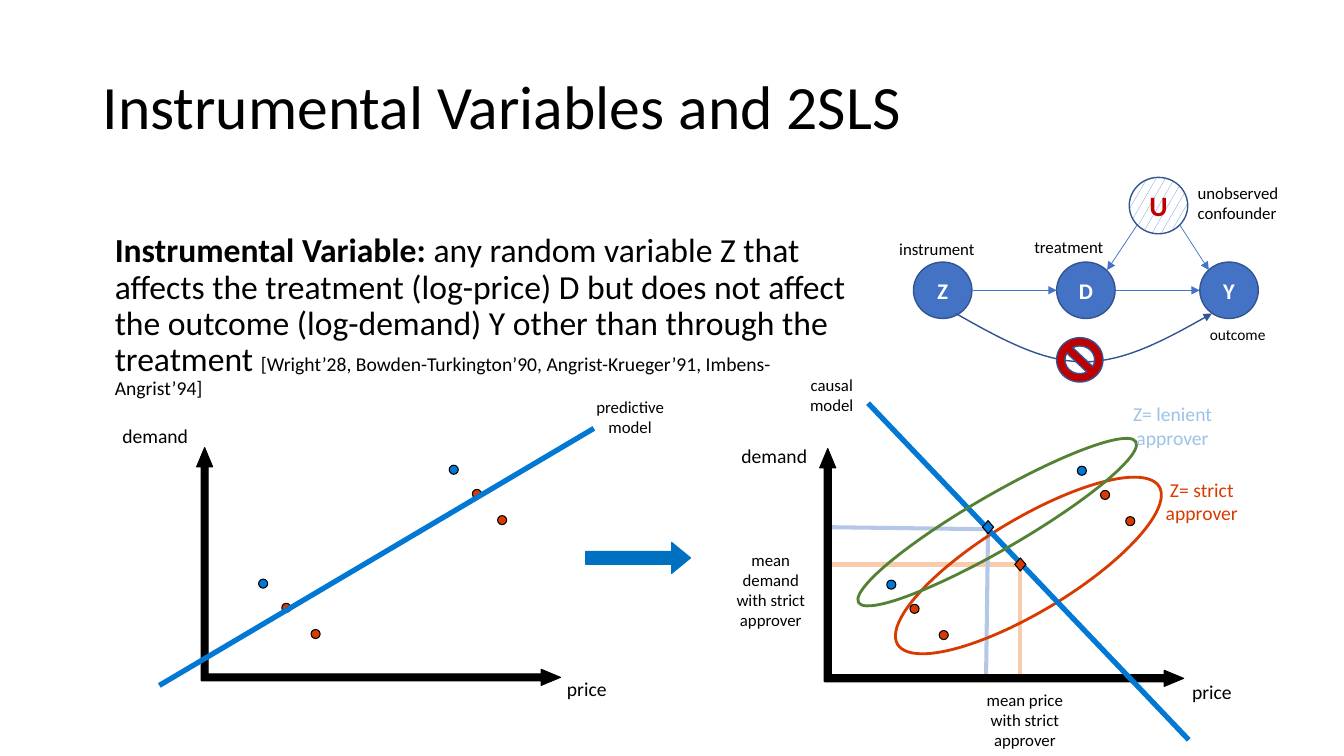
from lxml import etree
from pptx import Presentation
from pptx import util as u
from pptx.dml import color
from pptx.enum import dml, shapes, text
from pptx.oxml.ns import qn

FONT = "Calibri"
BLACK, WHITE = "000000", "FFFFFF"
BLUE, RED, GREEN = "0078D4", "D83B01", "548235"
PALE_BLUE, PALE_RED = "B4C7E7", "F8CBAD"
NODE_FILL, NODE_LINE, DARK_RED = "4472C4", "325491", "C00000"
SHAPE = shapes.MSO_SHAPE
CENTER = text.PP_ALIGN.CENTER

# Centres of the observations in the left plot
LENIENT_DOTS = [(2.61, 5.79), (4.5, 4.66)]
STRICT_DOTS = [(2.84, 6.03), (4.73, 4.9), (4.98, 5.16), (3.13, 6.29)]


def rgb(value):
    return color.RGBColor.from_string(value)


def style_run(span, size, ink, bold=False):
    span.font.name = FONT
    span.font.size = u.Pt(size)
    span.font.bold = bold
    span.font.color.rgb = rgb(ink)


def add_text(page, place, content, size, ink=BLACK, align=CENTER, wrap=True):
    box = page.shapes.add_textbox(*map(u.Inches, place))
    frame = box.text_frame
    frame.word_wrap = wrap
    frame.text = content
    for para in frame.paragraphs:
        para.alignment = align
        for span in para.runs:
            style_run(span, size, ink)
    return box


def add_figure(page, kind, place, fill=None, line=BLACK, width=0, turn=0):
    figure = page.shapes.add_shape(kind, *map(u.Inches, place))
    figure.shadow.inherit = False
    figure.rotation = turn
    if fill:
        figure.fill.solid()
        figure.fill.fore_color.rgb = rgb(fill)
    else:
        figure.fill.background()
    figure.line.color.rgb = rgb(line)
    figure.line.width = u.Pt(width)
    return figure


def add_centered(page, kind, center, size, **look):
    (x, y), (w, h) = center, size
    return add_figure(page, kind, (x - w / 2, y - h / 2, w, h), **look)


def add_arrowhead(shape):
    etree.SubElement(shape.line._get_or_add_ln(), qn("a:tailEnd"), type="triangle")


def add_line(page, start, end, ink, width, arrow=False):
    line = page.shapes.add_connector(
        shapes.MSO_CONNECTOR.STRAIGHT, *map(u.Inches, start + end))
    line.line.color.rgb = rgb(ink)
    line.line.width = u.Pt(width)
    if arrow:
        add_arrowhead(line)
    etree.SubElement(line._element.spPr, qn("a:effectLst"))


def add_block_arrow(page, kind, place, ink, shaft, head):
    arrow = add_figure(page, kind, place, fill=ink, line=ink)
    arrow.adjustments[0], arrow.adjustments[1] = shaft, head


def add_axes(page, dx, dy):
    add_block_arrow(page, SHAPE.RIGHT_ARROW, (2 + dx, 6.64 + dy, 3.56, 0.16), BLACK, 0.44, 1.2)
    add_block_arrow(page, SHAPE.UP_ARROW, (1.95 + dx, 4.44 + dy, 0.16, 2.31), BLACK, 0.44, 1.2)


def add_dots(page, dx, dy):
    for centers, ink in ((LENIENT_DOTS, BLUE), (STRICT_DOTS, RED)):
        for x, y in centers:
            add_centered(page, SHAPE.OVAL, (x + dx, y + dy), (0.09, 0.09), fill=ink)


def add_node(page, left, top, letter, size=16, ink=WHITE):
    node = add_figure(page, SHAPE.OVAL, (left, top, 0.58, 0.56), NODE_FILL, NODE_LINE, 1)
    frame = node.text_frame
    frame.vertical_anchor = text.MSO_ANCHOR.MIDDLE
    frame.text = letter
    frame.paragraphs[0].alignment = CENTER
    style_run(frame.paragraphs[0].runs[0], size, ink, bold=True)
    return node


def add_blocked_path(page):
    """Curve from Z to Y below D, with a stop sign on it."""
    middle, half, top, depth, steps = 10.75, 1.27, 3.11, 0.48, 16
    points = []
    for step in range(-steps, steps + 1):
        t = 1 - abs(step) / steps
        points.append((u.Inches(middle + half * step / steps),
                       u.Inches(top + depth * (1.5 * t - 0.5 * t ** 3))))
    builder = page.shapes.build_freeform(*points[0])
    builder.add_line_segments(points[1:], close=False)
    curve = builder.convert_to_shape()
    curve.shadow.inherit = False
    curve.fill.background()
    curve.line.color.rgb = rgb(NODE_LINE)
    curve.line.width = u.Pt(1)
    add_arrowhead(curve)
    add_figure(page, SHAPE.NO_SYMBOL, (10.48, 3.35, 0.46, 0.44), DARK_RED, NODE_LINE, 1)


def add_heading(page):
    title = add_text(page, (0.92, 0.36, 11.5, 1.45),
                     "Instrumental Variables and 2SLS", 44, align=text.PP_ALIGN.LEFT)
    title.text_frame.vertical_anchor = text.MSO_ANCHOR.MIDDLE
    title.text_frame.paragraphs[0].line_spacing = 0.9

    body = add_text(page, (1, 2.27, 7.6, 4.71), "", 24)
    para = body.text_frame.paragraphs[0]
    para.alignment = text.PP_ALIGN.LEFT
    para.line_spacing = 0.9
    para.space_before = u.Pt(10)
    para._p.get_or_add_pPr().set("marL", str(u.Inches(0.04)))
    for content, size, bold in (
            ("Instrumental Variable:", 24, True),
            (" any random variable Z that affects the treatment (log-price) D but does not "
             "affect the outcome (log-demand) Y other than through the treatment ", 24, False),
            ("[Wright’28, Bowden-Turkington’90, Angrist-Krueger’91, Imbens-Angrist’94]",
             14, False)):
        span = para.add_run()
        span.text = content
        style_run(span, size, BLACK, bold)


def add_predictive_plot(page):
    add_axes(page, 0, 0)
    add_dots(page, 0, 0)
    add_line(page, (1.58, 6.8), (5.89, 4.25), BLUE, 3.75)
    add_text(page, (5.8, 3.89, 0.9, 0.5), "predictive\nmodel", 12, wrap=False)
    add_text(page, (5.51, 6.67, 0.62, 0.34), "price", 14, wrap=False)
    add_text(page, (1.09, 4.16, 0.9, 0.34), "demand", 14, wrap=False)


def add_causal_plot(page):
    # Guides from the group means to the axes
    add_line(page, (10.12, 5.61), (10.12, 6.7), PALE_RED, 2.88)
    add_line(page, (8.23, 5.6), (10.16, 5.6), PALE_RED, 2.88)
    add_line(page, (9.79, 5.25), (8.21, 5.23), PALE_BLUE, 2.88)
    add_line(page, (9.8, 5.21), (9.78, 6.72), PALE_BLUE, 2.88)
    add_axes(page, 6.18, 0.01)
    # Groups, model and observations
    add_centered(page, SHAPE.OVAL, (10.2, 5.61), (3.03, 0.92), line=RED, width=2, turn=-31.1)
    add_line(page, (8.61, 4), (11.79, 7.34), BLUE, 3.75)
    add_dots(page, 6.23, 0.01)
    add_centered(page, SHAPE.OVAL, (9.89, 5.18), (3.18, 0.54), line=GREEN, width=2, turn=-30.1)
    for center, ink in (((9.8, 5.23), BLUE), ((10.12, 5.6), RED)):
        add_centered(page, SHAPE.DIAMOND, center, (0.11, 0.13), fill=ink)
    # Labels
    add_text(page, (7.92, 3.67, 0.66, 0.5), "causal\nmodel", 12, wrap=False)
    add_text(page, (11.71, 6.7, 0.62, 0.34), "price", 14, wrap=False)
    add_text(page, (7.23, 4.35, 0.9, 0.34), "demand", 14, wrap=False)
    add_text(page, (9.43, 6.79, 1.47, 0.71), "mean price\nwith strict approver", 12)
    add_text(page, (7.08, 5.4, 1.13, 0.91), "mean demand\nwith strict approver", 12)
    add_text(page, (11.22, 4.69, 1.4, 0.57), "Z= strict approver", 14, RED)
    add_text(page, (10.88, 3.94, 1.5, 0.57), "Z= lenient approver", 14, "9DC3E6")


def add_causal_graph(page):
    for left, letter in ((9.06, "Z"), (10.48, "D"), (11.9, "Y")):
        add_node(page, left, 2.6, letter)
    confounder = add_node(page, 11.2, 1.76, "U", 20, DARK_RED)
    confounder.fill.patterned()
    confounder.fill.pattern = dml.MSO_PATTERN.SMALL_CONFETTI
    confounder.fill.fore_color.rgb = rgb(NODE_FILL)
    confounder.fill.back_color.rgb = rgb(WHITE)
    for start, end in (((11.28, 2.23), (10.98, 2.68)), ((11.7, 2.23), (11.99, 2.68)),
                       ((9.65, 2.88), (10.48, 2.88)), ((11.07, 2.88), (11.9, 2.88))):
        add_line(page, start, end, NODE_FILL, 0.5, arrow=True)
    add_blocked_path(page)
    for place, label, size in (((11.78, 1.76, 1.04, 0.5), "unobserved confounder", 12),
                               ((11.9, 3.18, 0.88, 0.29), "outcome", 11),
                               ((10.16, 2.3, 0.9, 0.3), "treatment", 12),
                               ((8.82, 2.32, 1.09, 0.3), "instrument", 12)):
        add_text(page, place, label, size, align=text.PP_ALIGN.LEFT)


def main():
    deck = Presentation()
    deck.slide_width, deck.slide_height = u.Inches(13.33), u.Inches(7.5)
    page = deck.slides.add_slide(deck.slide_layouts[6])
    add_heading(page)
    add_predictive_plot(page)
    add_block_arrow(page, SHAPE.RIGHT_ARROW, (5.81, 5.38, 1.04, 0.31), "0070C0", 0.42, 0.61)
    add_causal_plot(page)
    add_causal_graph(page)
    deck.save("out.pptx")


if __name__ == "__main__":
    main()
